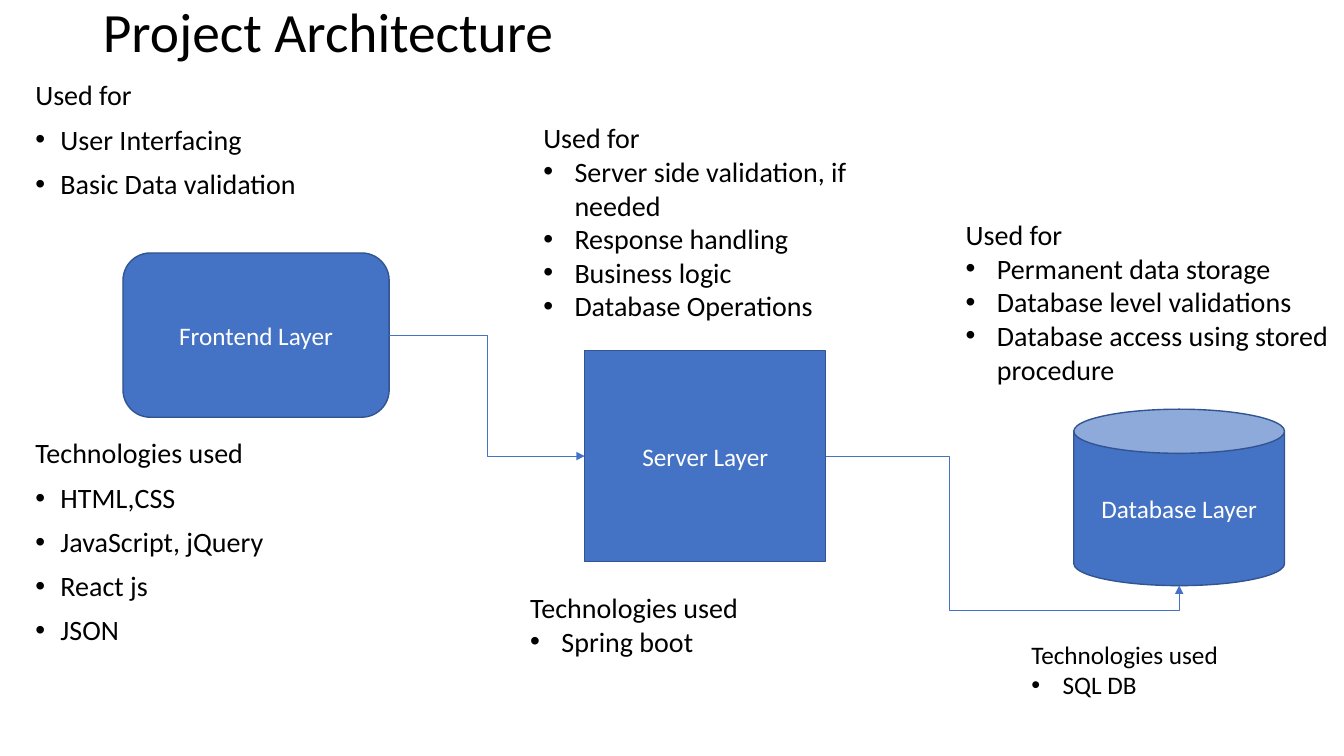
from dataclasses import dataclass

from lxml.etree import SubElement as Sub
from pptx import Presentation
from pptx.dml.color import RGBColor as Rgb
from pptx.enum.shapes import MSO_CONNECTOR as Conn, MSO_SHAPE as Kind
from pptx.enum.text import MSO_ANCHOR as Anchor, MSO_AUTO_SIZE as Auto, PP_ALIGN as Align
from pptx.oxml.ns import qn
from pptx.util import Inches, Pt


@dataclass(frozen=True)
class Theme:
    """Colours, font and type sizes of the slide."""
    font: str = "Calibri"
    ink: Rgb = Rgb(0, 0, 0)
    white: Rgb = Rgb(255, 255, 255)
    blue: Rgb = Rgb(0x44, 0x72, 0xC4)
    edge: Rgb = Rgb(0x32, 0x54, 0x91)
    title: float = 39.6
    body: int = 20
    small: int = 18


THEME = Theme()
RIGHT, LEFT, BASE = 3, 1, 3  # connection sites; BASE is the foot of the can


def style(par, size, color=THEME.ink):
    """Set the font of a whole paragraph."""
    font = par.font
    font.name, font.size, font.color.rgb = THEME.font, Pt(size), color


def bullet(par, indent):
    """Give a paragraph a hanging bullet, or none when indent is 0."""
    props = par._p.get_or_add_pPr()
    props.set("marL", str(Inches(indent)))
    props.set("indent", str(-Inches(indent)))
    if indent:
        Sub(props, qn("a:buFont"), typeface="Arial")
        Sub(props, qn("a:buChar"), char="•")
    else:
        Sub(props, qn("a:buNone"))


def place(shape, left, top, width, height):
    """Move and size a placeholder, in inches."""
    shape.left, shape.top = Inches(left), Inches(top)
    shape.width, shape.height = Inches(width), Inches(height)


def fill_list(frame, groups, size, indent, line=None, before=0, gap=0):
    """Write headed bullet lists, with a gap above each later heading."""
    frame.word_wrap = True
    first = True
    for head, items in groups:
        for text in (head, *items):
            par = frame.paragraphs[0] if first else frame.add_paragraph()
            par.text = text
            par.line_spacing = line
            is_head = text == head
            par.space_before = Pt(gap if is_head and not first else before)
            bullet(par, 0 if is_head else indent)
            style(par, size)
            first = False


def add_title(slide, text):
    """Fill the title placeholder."""
    title = slide.shapes.title
    place(title, 0.92, 0.06, 11.5, 0.57)
    frame = title.text_frame
    frame.text = text
    frame.auto_size, frame.vertical_anchor = Auto.NONE, Anchor.MIDDLE
    par = frame.paragraphs[0]
    par.alignment, par.line_spacing = Align.LEFT, 0.9
    style(par, THEME.title)


def add_body(slide, groups):
    """Fill the body placeholder with the frontend lists."""
    body = slide.placeholders[1]
    place(body, 0.25, 0.76, 12.91, 6.54)
    body.text_frame.auto_size = Auto.NONE
    fill_list(body.text_frame, groups, THEME.body, 0.25, 0.9, 10, 171)


def add_note(slide, box, head, items, size=THEME.body):
    """Add a text box with a heading and bullets."""
    note = slide.shapes.add_textbox(*map(Inches, box))
    fill_list(note.text_frame, [(head, items)], size, 0.31)


def add_layer(slide, kind, box, text):
    """Add one labelled layer of the architecture."""
    layer = slide.shapes.add_shape(kind, *map(Inches, box))
    layer.shadow.inherit = False
    layer.fill.solid()
    layer.fill.fore_color.rgb = THEME.blue
    layer.line.color.rgb, layer.line.width = THEME.edge, Pt(1)
    frame = layer.text_frame
    frame.text, frame.vertical_anchor = text, Anchor.MIDDLE
    par = frame.paragraphs[0]
    par.alignment = Align.CENTER
    style(par, THEME.small, THEME.white)
    return layer


def add_arrow(slide, start, end, site):
    """Join the right side of one layer to a site of the next."""
    arrow = slide.shapes.add_connector(Conn.ELBOW, 0, 0, 0, 0)
    arrow.begin_connect(start, RIGHT)
    arrow.end_connect(end, site)
    arrow.line.width = Pt(0.5)
    arrow.line.color.rgb = THEME.blue
    Sub(arrow.line._get_or_add_ln(), qn("a:tailEnd"), type="triangle")
    Sub(arrow._element.spPr, qn("a:effectLst"))
    return arrow


def bend_under(arrow, end, turn, drop):
    """Lead an arrow below a layer and up to the middle of its base."""
    arrow.end_x = end.left + end.width // 2
    arrow.end_y = end.top + end.height
    geom = arrow._element.spPr.find(qn("a:prstGeom"))
    geom.set("prst", "bentConnector4")
    guides = geom.find(qn("a:avLst"))
    if guides is None:
        guides = Sub(geom, qn("a:avLst"))
    for name, part in (("adj1", turn), ("adj2", drop)):
        Sub(guides, qn("a:gd"), name=name, fmla=f"val {round(part * 100000)}")


def main():
    """Build the architecture slide."""
    deck = Presentation()
    deck.slide_width, deck.slide_height = Inches(13.33), Inches(7.5)
    slide = deck.slides.add_slide(deck.slide_layouts[1])
    use, tech = "Used for", "Technologies used"

    add_title(slide, "Project Architecture")
    add_body(slide, [
        (use, ["User Interfacing", "Basic Data validation"]),
        (tech, ["HTML,CSS", "JavaScript, jQuery", "React js", "JSON"]),
    ])

    front = add_layer(slide, Kind.ROUNDED_RECTANGLE, (1.22, 2.51, 2.64, 1.63), "Frontend Layer")
    server = add_layer(slide, Kind.RECTANGLE, (5.8, 3.48, 2.39, 2.09), "Server Layer")
    data = add_layer(slide, Kind.CAN, (10.65, 4.06, 2.09, 1.75), "Database Layer")
    add_arrow(slide, front, server, LEFT)
    bend_under(add_arrow(slide, server, data, BASE), data, 0.35, 1.19)

    add_note(slide, (5.29, 1.15, 4.06, 2.46), use, [
        "Server side validation, if needed", "Response handling",
        "Business logic", "Database Operations"])
    add_note(slide, (5.16, 5.81, 3.02, 0.77), tech, ["Spring boot"])
    add_note(slide, (9.48, 2.11, 3.94, 1.78), use, [
        "Permanent data storage", "Database level validations",
        "Database access using stored procedure"])
    add_note(slide, (10.13, 6.29, 3.02, 0.71), tech, ["SQL DB"], THEME.small)
    deck.save("out.pptx")


main()
